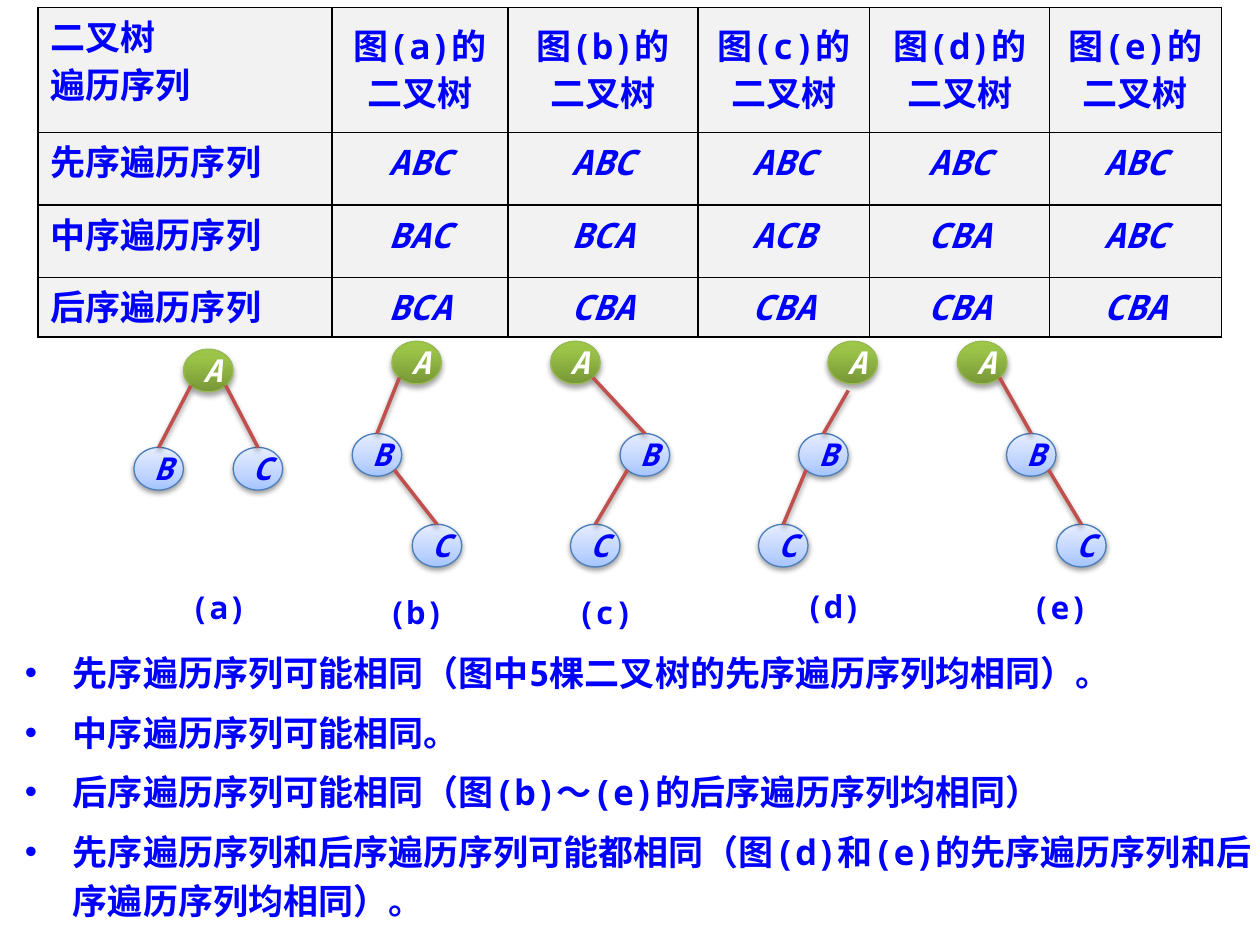
"""Build a slide comparing the traversal sequences of five binary trees."""
from lxml.etree import SubElement
from pptx import Presentation
from pptx.dml.color import RGBColor
from pptx.enum.shapes import MSO_CONNECTOR, MSO_SHAPE
from pptx.enum.text import MSO_ANCHOR, MSO_AUTO_SIZE, PP_ALIGN
from pptx.oxml.ns import qn
from pptx.util import Cm, Pt

FONT = "Noto Sans Mono"
COLOURS = {
    "text": "0000FF",
    "root text": "FFFFFF",
    "cell": "F2F2F2",
    "border": "000000",
    "shadow": "000000",
    "root line": "98B955",
    "child line": "4B7EBC",
    "edge": "C0504D",
}
ROOT_STOPS = [(0, "779737"), (80, "9BC348"), (100, "9DC746")]
CHILD_STOPS = [(0, "A4C4FF"), (35, "BFD4FF"), (100, "E6EEFF")]


def write_text(paragraph, text, size=20, color="text", italic=False, align=PP_ALIGN.LEFT, spacing=27, before=0):
    run = paragraph.add_run()
    run.text = text
    run.font.size = Pt(size)
    run.font.bold = True
    run.font.italic = italic
    run.font.name = FONT
    run.font.color.rgb = RGBColor.from_string(COLOURS[color])
    SubElement(run.font._element, qn("a:ea"), typeface=FONT)
    paragraph.alignment = align
    paragraph.line_spacing = Pt(spacing)
    paragraph.space_before = Pt(before)


def add_shadow(drawn, opacity, distance):
    effects = SubElement(drawn._element.spPr, qn("a:effectLst"))
    shadow = SubElement(effects, qn("a:outerShdw"), blurRad=str(Pt(3.1)), dist=str(Pt(distance)),
                        dir="5400000", rotWithShape="0")
    color = SubElement(shadow, qn("a:srgbClr"), val=COLOURS["shadow"])
    SubElement(color, qn("a:alpha"), val=str(opacity * 1000))


presentation = Presentation()
presentation.slide_width = Cm(25.4)
presentation.slide_height = Cm(19.05)
slide = presentation.slides.add_slide(presentation.slide_layouts[1])
title = slide.shapes.title._element
title.getparent().remove(title)

NODE_WIDTH, NODE_HEIGHT = 1, 0.86
SIDES = {"left": 0.15, "right": 0.85}
trees = [
    ("(a)", (3.51, 11.76), {"A": (3.7, 7.04), "B": (2.7, 9.02), "C": (4.7, 9.02)},
     [("A", "B", "left", 0), ("A", "C", "right", 0)]),
    ("(b)", (7.49, 11.86), {"A": (7.9, 6.88), "B": (7.1, 8.74), "C": (8.31, 10.57)},
     [("A", "B", "left", 0), ("B", "C", "right", 0)]),
    ("(c)", (11.3, 11.86), {"A": (11.1, 6.88), "B": (12.5, 8.74), "C": (11.5, 10.57)},
     [("A", "B", "right", 0), ("B", "C", "left", 0)]),
    ("(d)", (15.9, 11.73), {"A": (16.69, 6.88), "B": (16.1, 8.74), "C": (15.29, 10.57)},
     [("A", "B", "left", 0.26), ("B", "C", "left", 0)]),
    ("(e)", (20.47, 11.76), {"A": (19.3, 6.88), "B": (20.29, 8.74), "C": (21.3, 10.57)},
     [("A", "B", "right", 0), ("B", "C", "right", 0)]),
]
for caption, (caption_left, caption_top), nodes, edges in trees:
    for letter, (left, top) in nodes.items():
        is_root = letter == "A"
        node = slide.shapes.add_shape(MSO_SHAPE.OVAL, Cm(left), Cm(top), Cm(NODE_WIDTH), Cm(NODE_HEIGHT))
        node.fill.gradient()
        node.fill.gradient_angle = 90
        stop_list = node._element.spPr.find(".//" + qn("a:gsLst"))
        for stop in list(stop_list):
            stop_list.remove(stop)
        for position, color in ROOT_STOPS if is_root else CHILD_STOPS:
            stop = SubElement(stop_list, qn("a:gs"), pos=str(position * 1000))
            SubElement(stop, qn("a:srgbClr"), val=color)
        node.line.color.rgb = RGBColor.from_string(COLOURS["root line" if is_root else "child line"])
        node.line.width = Pt(0.75)
        add_shadow(node, 35 if is_root else 38, 1.8 if is_root else 1.6)
        write_text(node.text_frame.paragraphs[0], letter, size=18, italic=True, align=PP_ALIGN.CENTER,
                   spacing=21, color="root text" if is_root else "text")
    for parent, child, side, shift in edges:
        parent_left, parent_top = nodes[parent]
        child_left, child_top = nodes[child]
        edge = slide.shapes.add_connector(
            MSO_CONNECTOR.STRAIGHT,
            Cm(parent_left + SIDES[side] * NODE_WIDTH + shift),
            Cm(parent_top + SIDES["right"] * NODE_HEIGHT + shift),
            Cm(child_left + NODE_WIDTH / 2),
            Cm(child_top),
        )
        edge.line.color.rgb = RGBColor.from_string(COLOURS["edge"])
        edge.line.width = Pt(2)
        add_shadow(edge, 38, 1.6)
    caption_box = slide.shapes.add_textbox(Cm(caption_left), Cm(caption_top), Cm(1.8), Cm(1.04))
    caption_box.text_frame.word_wrap = True
    write_text(caption_box.text_frame.paragraphs[0], caption, size=18, align=PP_ALIGN.CENTER, spacing=21)

rows = [
    ["二叉树\n遍历序列"] + [f"图({letter})的二叉树" for letter in "abcde"],
    ["先序遍历序列", "ABC", "ABC", "ABC", "ABC", "ABC"],
    ["中序遍历序列", "BAC", "BCA", "ACB", "CBA", "ABC"],
    ["后序遍历序列", "BCA", "CBA", "CBA", "CBA", "CBA"],
]
table = slide.shapes.add_table(4, 6, Cm(0.77), Cm(0.15), Cm(23.85), Cm(6.58)).table
table.first_row = False
table.horz_banding = False
for column, width in zip(table.columns, [5.92, 3.55, 3.83, 3.46, 3.63, 3.46]):
    column.width = Cm(width)
for row, height in zip(table.rows, [2.52, 1.46, 1.46, 1.02]):
    row.height = Cm(height)
for row_index, texts in enumerate(rows):
    for column_index, text in enumerate(texts):
        cell = table.cell(row_index, column_index)
        is_label = column_index == 0
        for side in ("lnL", "lnR", "lnT", "lnB"):
            border = SubElement(cell._tc.get_or_add_tcPr(), qn(f"a:{side}"), w=str(Pt(1)))
            border_fill = SubElement(border, qn("a:solidFill"))
            SubElement(border_fill, qn("a:srgbClr"), val=COLOURS["border"])
        cell.fill.solid()
        cell.fill.fore_color.rgb = RGBColor.from_string(COLOURS["cell"])
        if row_index == 0 and not is_label:
            cell.vertical_anchor = MSO_ANCHOR.MIDDLE
        for line_index, line in enumerate(text.split("\n")):
            frame = cell.text_frame
            paragraph = frame.add_paragraph() if line_index else frame.paragraphs[0]
            write_text(paragraph, line, italic=row_index > 0 and not is_label,
                       align=PP_ALIGN.LEFT if is_label else PP_ALIGN.CENTER)

conclusions = [
    "先序遍历序列可能相同（图中5棵二叉树的先序遍历序列均相同）。",
    "中序遍历序列可能相同。",
    "后序遍历序列可能相同（图(b)～(e)的后序遍历序列均相同）",
    "先序遍历序列和后序遍历序列可能都相同（图(d)和(e)的先序遍历序列和后序遍历序列均相同）。",
]
body = slide.placeholders[1]
body.left, body.top, body.width, body.height = Cm(0.1), Cm(12.7), Cm(25.43), Cm(6.22)
frame = body.text_frame
frame.auto_size = MSO_AUTO_SIZE.NONE
frame.word_wrap = True
frame.vertical_anchor = MSO_ANCHOR.TOP
frame.margin_left, frame.margin_right = Cm(0.4), Cm(0.25)
frame.margin_top = frame.margin_bottom = Cm(0.3)
for index, conclusion in enumerate(conclusions):
    paragraph = frame.add_paragraph() if index else frame.paragraphs[0]
    properties = paragraph._p.get_or_add_pPr()
    properties.set("marL", str(Cm(0.97)))
    properties.set("indent", str(-Cm(0.97)))
    SubElement(properties, qn("a:buChar"), char="•")
    write_text(paragraph, conclusion, spacing=28, before=6 if index else 0)

presentation.save("out.pptx")
